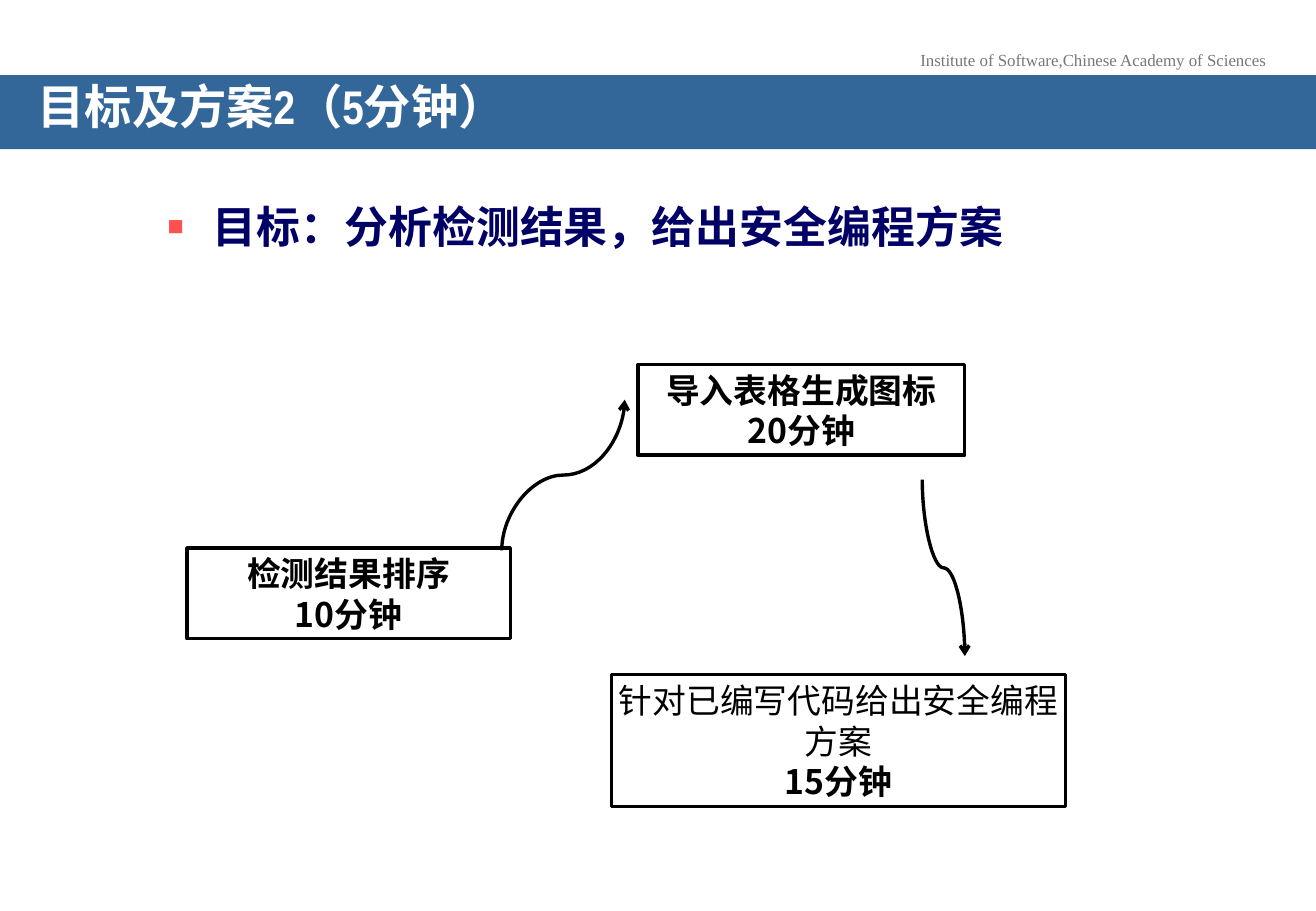
import pptx
import pptx.util
import pptx.dml.color
import pptx.enum.shapes
import pptx.enum.text
import pptx.oxml.ns
from lxml import etree

Cm = pptx.util.Cm
Pt = pptx.util.Pt
Align = pptx.enum.text.PP_ALIGN
Anchor = pptx.enum.text.MSO_ANCHOR
AutoSize = pptx.enum.text.MSO_AUTO_SIZE

COLOURS = {
    "banner": "336699",
    "white": "FFFFFF",
    "footer": "777777",
    "goal": "000066",
    "bullet": "FF5050",
    "black": "000000",
}
CHINESE_FONT = "Noto Sans CJK SC"


def add_element(parent, tag, **attributes):
    return etree.SubElement(parent, pptx.oxml.ns.qn(tag), attributes)


class SlideBuilder:
    def __init__(self, presentation):
        self.slide = presentation.slides.add_slide(presentation.slide_layouts[5])

    def colour(self, name):
        return pptx.dml.color.RGBColor.from_string(COLOURS[name])

    def place(self, shape, box):
        shape.left, shape.top, shape.width, shape.height = map(Cm, box)

    def frame(self, shape, margins, anchor, auto_size, wrap=True):
        frame = shape.text_frame
        frame.margin_left = frame.margin_right = Cm(margins[0])
        frame.margin_top = frame.margin_bottom = Cm(margins[1])
        frame.vertical_anchor = anchor
        frame.auto_size = auto_size
        frame.word_wrap = wrap
        return frame

    def run(self, paragraph, text, font, size, colour, bold=False):
        run = paragraph.add_run()
        run.text = text
        run.font.name = font
        run.font.size = Pt(size)
        run.font.bold = bold
        run.font.color.rgb = self.colour(colour)
        add_element(run.font._element, "a:ea", typeface=CHINESE_FONT)

    def title(self, text, box):
        title = self.slide.shapes.title
        self.place(title, box)
        title.fill.solid()
        title.fill.fore_color.rgb = self.colour("banner")
        frame = self.frame(title, (0.79, 0.13), Anchor.MIDDLE, AutoSize.NONE)
        paragraph = frame.paragraphs[0]
        paragraph.alignment = Align.LEFT
        paragraph.line_spacing = 0.7
        self.run(paragraph, text, "Arial Narrow", 28, "white", True)

    def footer(self, text, box):
        shape = self.slide.shapes.add_textbox(*map(Cm, box))
        frame = self.frame(shape, (0.25, 0.13), Anchor.TOP,
                           AutoSize.SHAPE_TO_FIT_TEXT, False)
        paragraph = frame.paragraphs[0]
        paragraph.alignment = Align.CENTER
        self.run(paragraph, text, "Times New Roman", 10, "footer")

    def goal(self, text, box):
        shape = self.slide.shapes.add_textbox(*map(Cm, box))
        frame = self.frame(shape, (0.25, 0.13), Anchor.TOP, AutoSize.NONE)
        paragraph = frame.paragraphs[0]
        paragraph.alignment = Align.JUSTIFY
        properties = paragraph._p.get_or_add_pPr()
        properties.set("marL", str(Cm(0.97)))
        properties.set("indent", str(-Cm(0.97)))
        bullet_colour = add_element(properties, "a:buClr")
        add_element(bullet_colour, "a:srgbClr", val=COLOURS["bullet"])
        add_element(properties, "a:buSzPct", val="120000")
        add_element(properties, "a:buFont", typeface="Arial")
        add_element(properties, "a:buChar", char="▪")
        self.run(paragraph, text, "Arial", 26, "goal", True)

    def step(self, task, duration, box, bold_task=True):
        shape = self.slide.shapes.add_shape(
            pptx.enum.shapes.MSO_SHAPE.RECTANGLE, *map(Cm, box))
        shape.shadow.inherit = False
        shape.fill.background()
        shape.line.color.rgb = self.colour("black")
        shape.line.width = Pt(2)
        frame = self.frame(shape, (0.1, 0.1), Anchor.MIDDLE,
                           AutoSize.SHAPE_TO_FIT_TEXT)
        lines = ((frame.paragraphs[0], task, bold_task),
                 (frame.add_paragraph(), duration, True))
        for paragraph, text, bold in lines:
            paragraph.alignment = Align.CENTER
            self.run(paragraph, text, CHINESE_FONT, 20, "black", bold)

    def curved_arrow(self, start, end, quarter_turn):
        centre_x, centre_y = ((a + b) / 2 for a, b in zip(start, end))
        across = quarter_turn * (start[1] - centre_y)
        down = quarter_turn * (centre_x - start[0])
        connector = self.slide.shapes.add_connector(
            pptx.enum.shapes.MSO_CONNECTOR.CURVE,
            Cm(centre_x + across), Cm(centre_y + down),
            Cm(centre_x - across), Cm(centre_y - down))
        properties = connector._element.spPr
        properties.xfrm.set("rot", str(quarter_turn % 4 * 5400000))
        connector.line.color.rgb = self.colour("black")
        connector.line.width = Pt(2)
        add_element(connector.line._get_or_add_ln(), "a:tailEnd", type="arrow")
        add_element(properties, "a:effectLst")


def main():
    presentation = pptx.Presentation()
    presentation.slide_width = Cm(27.51)
    presentation.slide_height = Cm(19.05)
    builder = SlideBuilder(presentation)
    builder.footer("Institute of Software,Chinese Academy of Sciences",
                   (18.95, 0.91, 7.8, 0.69))
    builder.title("目标及方案2（5分钟）", (0, 1.57, 27.51, 1.55))
    builder.goal("目标：分析检测结果，给出安全编程方案", (3.23, 4.04, 21.06, 2.79))
    builder.step("检测结果排序", "10分钟", (3.91, 11.46, 6.76, 1.9))
    builder.step("导入表格生成图标", "20分钟", (13.34, 7.62, 6.83, 1.9))
    builder.step("针对已编写代码给出安全编程方案", "15分钟",
                 (12.78, 14.1, 9.5, 2.77), bold_task=False)
    builder.curved_arrow((10.49, 11.51), (13.06, 8.36), 1)
    builder.curved_arrow((19.28, 10.03), (20.17, 13.72), -1)
    presentation.save("out.pptx")


if __name__ == "__main__":
    main()
